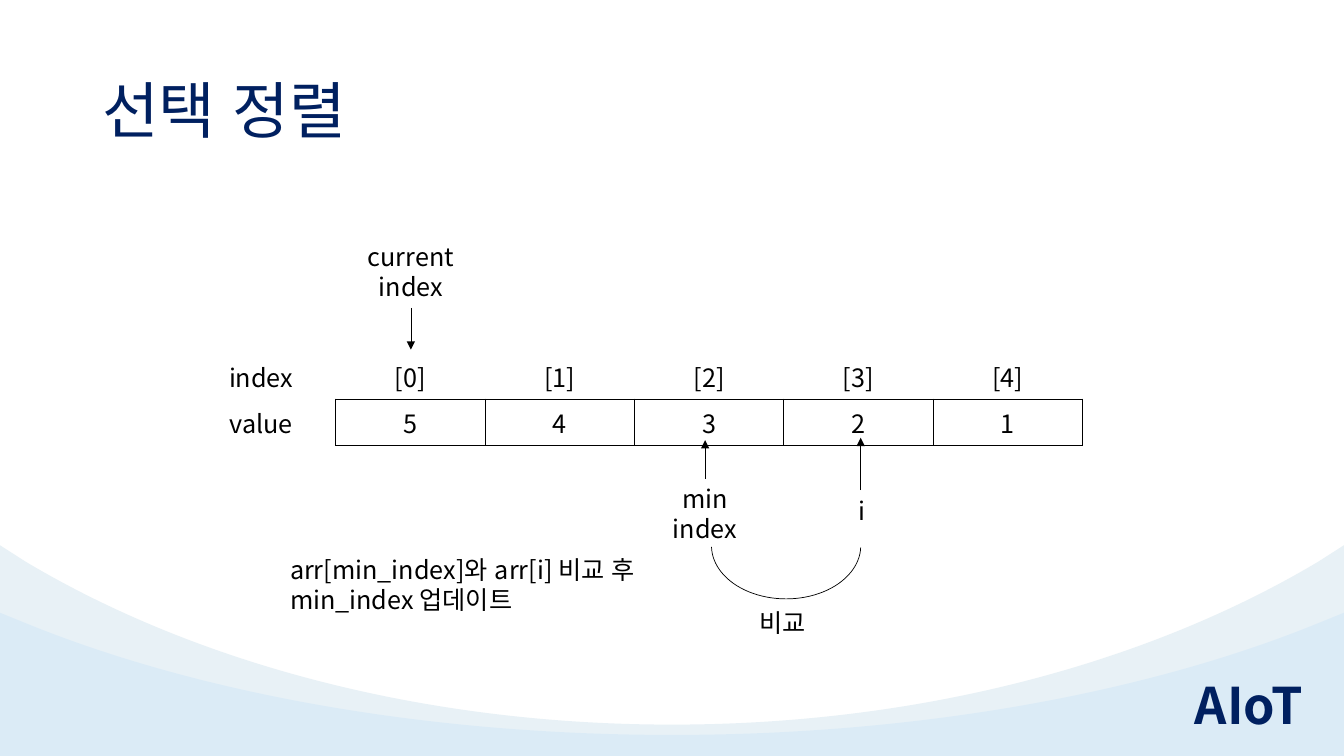
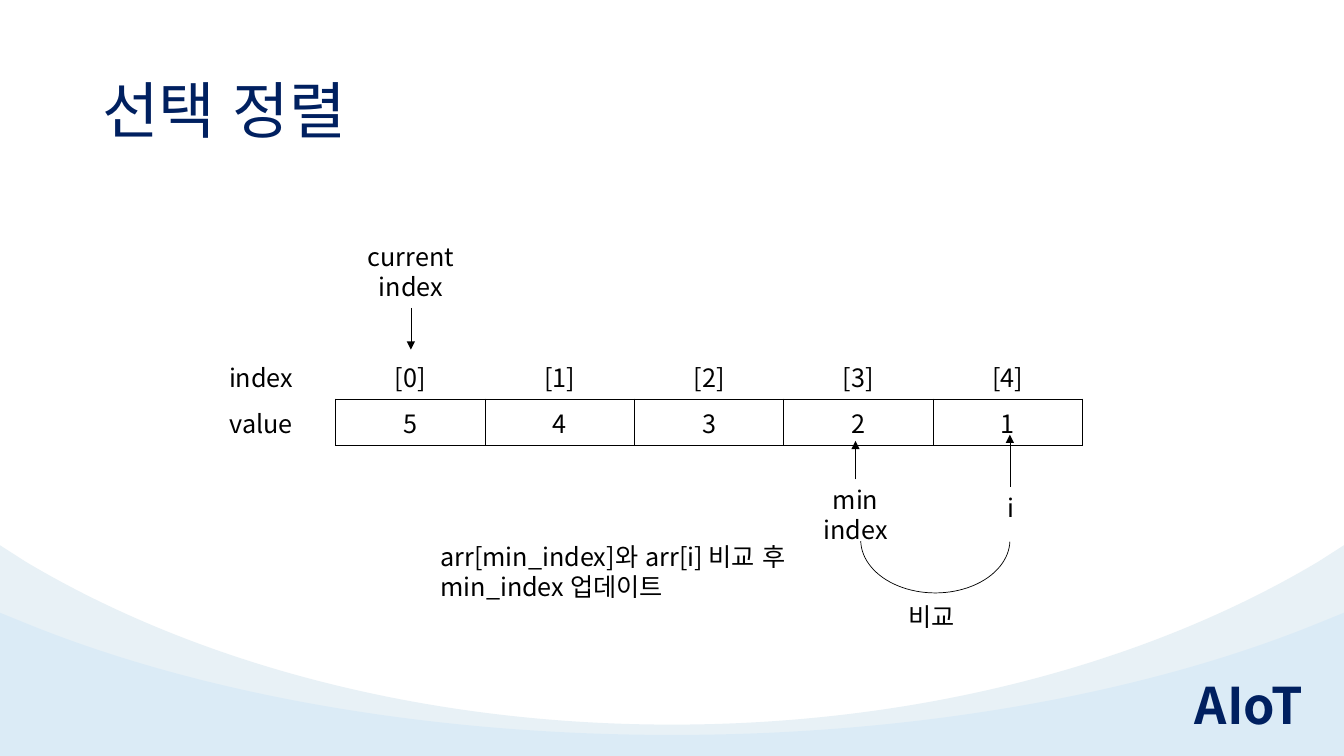
from lxml import etree
from pptx import Presentation
from pptx import util as u
from pptx.dml.color import RGBColor
from pptx.enum import lang, shapes, text
from pptx.oxml import ns

Cm = u.Cm
COLORS = {"navy": "002060", "ink": "000000", "paper": "FFFFFF",
          "band": "E8F1F6", "tint": "7AC2F9"}
FONT = "Noto Sans CJK KR"
WIDTH, HEIGHT = 33.87, 19.05
NO_TABLE_STYLE = "{2D5ABB26-0587-4C30-8999-92F81FD0307C}"
LEFT, CENTER = text.PP_ALIGN.LEFT, text.PP_ALIGN.CENTER


def rgb(name):
    return RGBColor.from_string(COLORS[name])


def add_xml(parent, tag, **attrs):
    return etree.SubElement(parent, ns.qn(tag), attrs)


def curve_segments(sp, *starts):
    """Turn three line segments from each start into one cubic curve."""
    segments = list(sp._element.spPr.iter(ns.qn("a:lnTo")))
    for k in starts:
        curve = etree.Element(ns.qn("a:cubicBezTo"))
        segments[k].addprevious(curve)
        for segment in segments[k:k + 3]:
            curve.append(segment[0])
            segment.getparent().remove(segment)


class Deck:
    def __init__(self):
        self.prs = Presentation()
        self.prs.slide_width, self.prs.slide_height = Cm(WIDTH), Cm(HEIGHT)
        self.s = None

    def new_slide(self, title):
        self.s = self.prs.slides.add_slide(self.prs.slide_layouts[6])
        # Curved bands, footer mark and title
        self.band((13.74, 14.15, 16.71, 18.26), "band")
        self.band((15.44, 15.7, 17.45, 18.52), "tint", alpha=11)
        self.label("AIoT", 29.86, 16.87, 3.35, 1.8, wrap=False,
                   size=36, color="navy", bold=True)
        box = self.label(title, 2.33, 1.01, 29.21, 3.68, size=44, color="navy")
        box.text_frame.vertical_anchor = text.MSO_ANCHOR.MIDDLE
        box.text_frame.paragraphs[0].line_spacing = 0.9

    def style(self, tf, align=LEFT, size=18, color="ink", bold=False):
        values = {"name": FONT, "size": u.Pt(size), "bold": bold,
                  "language_id": lang.MSO_LANGUAGE_ID.KOREAN}
        for p in tf.paragraphs:
            p.alignment = align
            for r in p.runs:
                for key, value in values.items():
                    setattr(r.font, key, value)
                r.font.color.rgb = rgb(color)
                add_xml(r._r.get_or_add_rPr(), "a:ea", typeface=FONT)

    def label(self, words, x, y, w, h, wrap=True, **style):
        box = self.s.shapes.add_textbox(Cm(x), Cm(y), Cm(w), Cm(h))
        tf = box.text_frame
        tf.word_wrap = wrap
        tf.paragraphs[0].text = words
        self.style(tf, **style)
        return box

    def band(self, heights, color, alpha=None):
        """Fill below a curve that is symmetric about the slide's middle."""
        edge, start, bend, low = heights
        half = [(0, edge), (0.64, start), (4.93, bend), (10.67, low)]
        other = [(WIDTH - x, y) for x, y in reversed(half)]
        points = half + [(WIDTH / 2, low)] + other
        points += [(WIDTH, HEIGHT), (0, HEIGHT)]
        points = [(Cm(x), Cm(y)) for x, y in points]
        builder = self.s.shapes.build_freeform(*points[0])
        builder.add_line_segments(points[1:], close=True)
        sp = builder.convert_to_shape()
        curve_segments(sp, 1, 4)
        sp.shadow.inherit = False
        sp.fill.solid()
        sp.fill.fore_color.rgb = rgb(color)
        sp.line.fill.background()
        if alpha:
            clr = sp._element.spPr.find(".//" + ns.qn("a:srgbClr"))
            add_xml(clr, "a:alpha", val=str(alpha * 1000))

    def thin_line(self, sp):
        sp.line.color.rgb = rgb("ink")
        sp.line.width = u.Pt(0.5)

    def arrow(self, box, length, down=False):
        """Arrow from the middle of the box's top, or bottom if down."""
        x = box.left + box.width // 2
        y = box.top + (box.height if down else 0)
        end = y + Cm(length if down else -length)
        line = self.s.shapes.add_connector(
            shapes.MSO_CONNECTOR.STRAIGHT, x, y, x, end)
        line.begin_connect(box, 2 if down else 0)
        self.thin_line(line)
        add_xml(line.line._get_or_add_ln(), "a:tailEnd", type="triangle")
        add_xml(line._element.spPr, "a:effectLst")

    def arc(self, x, y, w, h):
        sp = self.s.shapes.add_shape(
            shapes.MSO_SHAPE.ARC, Cm(x), Cm(y), Cm(w), Cm(h))
        sp.adjustments[0], sp.adjustments[1] = 108.74, 215.5
        sp.rotation = 180
        sp.shadow.inherit = False
        sp.fill.background()
        self.thin_line(sp)

    def border(self, cell, sides):
        tcPr = cell._tc.get_or_add_tcPr()
        for side in sides:
            ln = add_xml(tcPr, "a:ln" + side, w=str(u.Pt(1)))
            fill = add_xml(ln, "a:solidFill")
            add_xml(fill, "a:srgbClr", val=COLORS["ink"])

    def array_table(self, values, x, y, w, h):
        rows = [["index"] + [f"[{k}]" for k in range(len(values))],
                ["value"] + [str(v) for v in values]]
        t = self.s.shapes.add_table(
            2, len(rows[0]), Cm(x), Cm(y), Cm(w), Cm(h)).table
        t.first_row = t.horz_banding = False
        t._tbl.tblPr.find(ns.qn("a:tableStyleId")).text = NO_TABLE_STYLE
        for i, words in enumerate(rows):
            for j, word in enumerate(words):
                cell = t.cell(i, j)
                cell.text = word
                self.style(cell.text_frame, align=CENTER)
                if i == 1:
                    self.border(cell, "LRTB" if j else "R")
                cell.fill.solid()
                cell.fill.fore_color.rgb = rgb("paper")


def sort_step(deck, min_at, i_at, arc_y, note_at):
    """One comparison step of the selection sort."""
    deck.new_slide("선택 정렬")
    deck.array_table([5, 4, 3, 2, 1], 4.7, 8.9, 22.58, 2.32)

    # Pointers to the array cells
    current = deck.label("current index", 8.88, 5.96, 2.95, 1.8, align=CENTER)
    deck.arrow(current, 1.05, down=True)
    (min_x, min_y), (i_x, i_y) = min_at, i_at
    smallest = deck.label("min\nindex", min_x - 1.18, min_y, 2.36, 1.8,
                          align=CENTER)
    deck.arrow(smallest, 0.97)
    deck.arrow(deck.label("i", i_x - 0.3, i_y, 0.6, 1.02), 1.32)

    # Comparison arc and explanation
    arc_x = i_x - 3.76
    deck.arc(arc_x, arc_y, 3.76, 2.67)
    deck.label("비교", arc_x + 0.96, arc_y + 2.77, 1.85, 1.02)
    deck.label("arr[min_index]와 arr[i] 비교 후 min_index 업데이트",
               *note_at, 9.53, 1.8)


def main():
    deck = Deck()
    sort_step(deck, (17.77, 12.06), (21.69, 12.35), 12.42, (7.06, 13.84))
    sort_step(deck, (21.56, 12.08), (25.45, 12.27), 12.27, (10.85, 13.51))
    deck.prs.save("out.pptx")


if __name__ == "__main__":
    main()
